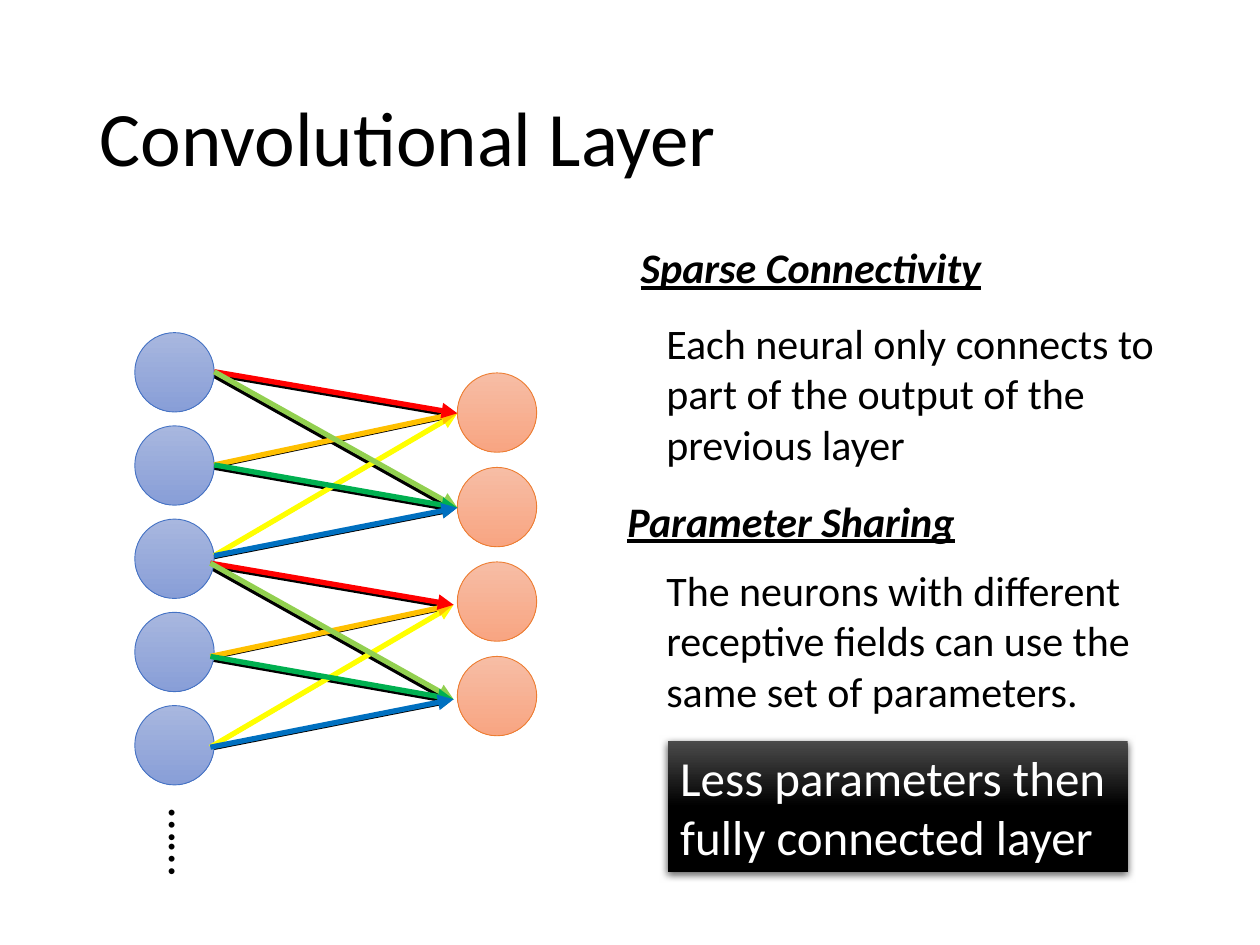
from lxml import etree
from pptx import Presentation
from pptx.dml.color import RGBColor
from pptx.enum import shapes, text
from pptx.oxml import ns
from pptx.util import Inches, Pt

BLACK = RGBColor(0, 0, 0)
WHITE = RGBColor(255, 255, 255)
CHARCOAL = RGBColor(0x4B, 0x4B, 0x4B)
INPUT_FILL = RGBColor(0xA8, 0xB7, 0xDF), RGBColor(0x88, 0x9E, 0xD7)
INPUT_EDGE = RGBColor(0x44, 0x72, 0xC4)
OUTPUT_FILL = RGBColor(0xF7, 0xBD, 0xA5), RGBColor(0xF8, 0xA5, 0x82)
OUTPUT_EDGE = RGBColor(0xED, 0x7D, 0x31)
YELLOW = RGBColor(0xFF, 0xFF, 0)
ORANGE = RGBColor(0xFF, 0xC0, 0)
RED = RGBColor(0xFF, 0, 0)
LIGHT_GREEN = RGBColor(0x92, 0xD0, 0x50)
GREEN = RGBColor(0, 0xB0, 0x50)
BLUE = RGBColor(0, 0x70, 0xC0)

BODY = {"size": Pt(24), "name": "Calibri"}
HEADING = {**BODY, "bold": True, "italic": True, "underline": True}
LARGE = {**BODY, "size": Pt(28)}
TITLE = {**BODY, "size": Pt(44)}

NEURON_SIZE = 0.63
INPUT_PORTS = [(1.7, 2.95), (1.7, 3.69), (1.7, 4.41)]
OUTPUT_PORTS = [(3.63, 3.28), (3.63, 4.03)]
# Input, output and colour of each shared weight
WEIGHTS = [(2, 0, YELLOW), (1, 0, ORANGE), (0, 0, RED),
           (0, 1, LIGHT_GREEN), (1, 1, GREEN), (2, 1, BLUE)]
FIELD_SHIFTS = [(0, 0), (-0.03, 1.52)]


def write(frame, words, style, color=BLACK, align=text.PP_ALIGN.LEFT):
    frame.word_wrap = True
    paragraph = frame.paragraphs[0]
    paragraph.text = words
    paragraph.alignment = align
    for key, value in style.items():
        setattr(paragraph.font, key, value)
    paragraph.font.color.rgb = color
    return paragraph


def add_title(slide, words):
    title = slide.shapes.title
    title.left, title.top = Inches(0.69), Inches(0.4)
    title.width, title.height = Inches(8.62), Inches(1.45)
    title.text_frame.vertical_anchor = text.MSO_ANCHOR.MIDDLE
    write(title.text_frame, words, TITLE).line_spacing = 0.9


def add_text(slide, box, words, style, align=text.PP_ALIGN.LEFT):
    label = slide.shapes.add_textbox(*map(Inches, box))
    write(label.text_frame, words, style, align=align)
    return label


def shade(shape, colors, end=1.0):
    """Fill from top to bottom, reaching the last colour at the fraction end."""
    shape.fill.gradient()
    shape.fill.gradient_angle = 270
    for stop, color, position in zip(shape.fill.gradient_stops, colors, (0, end)):
        stop.color.rgb = color
        stop.position = position


def add_neurons(slide, left, top, step, count, colors, edge):
    for row in range(count):
        box = left, top + row * step, NEURON_SIZE, NEURON_SIZE
        neuron = slide.shapes.add_shape(shapes.MSO_SHAPE.OVAL, *map(Inches, box))
        neuron.shadow.inherit = False
        shade(neuron, colors)
        neuron.line.color.rgb = edge
        neuron.line.width = Pt(0.5)


def add_arrow(slide, start, end, color, width):
    arrow = slide.shapes.add_connector(
        shapes.MSO_CONNECTOR.STRAIGHT, *map(Inches, (*start, *end)))
    arrow.line.color.rgb = color
    arrow.line.width = Pt(width)
    etree.SubElement(arrow.line._get_or_add_ln(), ns.qn("a:tailEnd"), type="triangle")
    etree.SubElement(arrow._element.spPr, ns.qn("a:effectLst"))


def add_weights(slide, width, offset=(0, 0), color=None):
    """Draw the same weights for each pair of outputs, in one colour if given."""
    for shift in FIELD_SHIFTS:
        dx, dy = (a + b for a, b in zip(shift, offset))
        for source, target, weight_color in WEIGHTS:
            start, end = ((x + dx, y + dy) for x, y in
                          (INPUT_PORTS[source], OUTPUT_PORTS[target]))
            add_arrow(slide, start, end, color or weight_color, width)


def add_conclusion(slide, words):
    box = slide.shapes.add_shape(
        shapes.MSO_SHAPE.RECTANGLE, *map(Inches, (5.3, 5.88, 3.65, 1.04)))
    shade(box, (CHARCOAL, BLACK), end=0.5)
    box.line.fill.background()
    box.shadow.inherit = False
    effects = box._element.spPr.find(ns.qn("a:effectLst"))
    shadow = etree.SubElement(effects, ns.qn("a:outerShdw"), blurRad=str(Pt(4.5)),
                              dist=str(Pt(1.5)), dir="5400000", rotWithShape="0")
    tint = etree.SubElement(shadow, ns.qn("a:srgbClr"), val=str(BLACK))
    etree.SubElement(tint, ns.qn("a:alpha"), val="63000")
    write(box.text_frame, words, LARGE, WHITE)


def main():
    deck = Presentation()
    deck.slide_width, deck.slide_height = Inches(10), Inches(7.5)
    slide = deck.slides.add_slide(deck.slide_layouts[5])
    add_title(slide, "Convolutional Layer")

    add_weights(slide, 2, offset=(-0.03, 0.02), color=BLACK)
    add_neurons(slide, 1.07, 2.64, 0.74, 5, INPUT_FILL, INPUT_EDGE)
    add_neurons(slide, 3.63, 2.96, 0.75, 4, OUTPUT_FILL, OUTPUT_EDGE)
    add_weights(slide, 3)
    more_inputs = add_text(slide, (1.02, 6.4, 0.95, 0.57), "……", LARGE,
                           text.PP_ALIGN.CENTER)
    more_inputs.rotation = 90

    add_text(slide, (4.88, 1.87, 3.11, 0.5), "Sparse Connectivity", HEADING,
             text.PP_ALIGN.CENTER)
    add_text(slide, (5.19, 2.47, 4.13, 1.31),
             "Each neural only connects to part of the output of the previous layer",
             BODY)
    add_text(slide, (4.88, 3.88, 3.11, 0.5), "Parameter Sharing", HEADING)
    add_text(slide, (5.19, 4.43, 4.13, 1.31),
             "The neurons with different receptive fields can use the same set of "
             "parameters.", BODY)
    add_conclusion(slide, "Less parameters then fully connected layer")
    deck.save("out.pptx")


if __name__ == "__main__":
    main()
